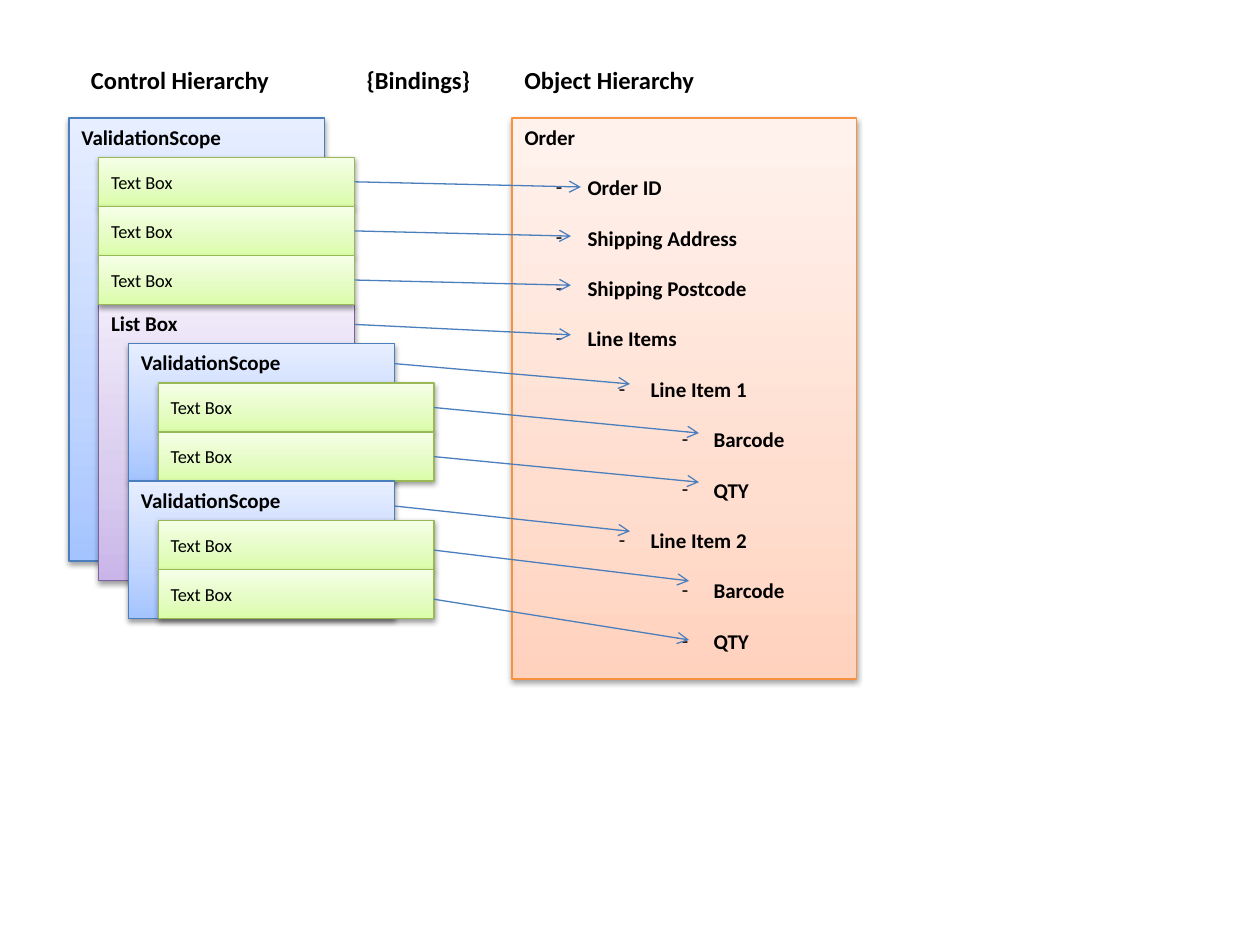
import copy

import pptx
import pptx.dml.color
import pptx.enum.shapes
import pptx.enum.text
import pptx.oxml
import pptx.oxml.ns
import pptx.oxml.xmlchemy
import pptx.util
from pptx.dml.color import RGBColor
from pptx.util import Cm, Pt

BLACK = RGBColor(0x00, 0x00, 0x00)
BLUE_LINE = RGBColor(0x4B, 0x7E, 0xBC)
BLUE = (RGBColor(0xA4, 0xC4, 0xFF), RGBColor(0xBF, 0xD4, 0xFF), RGBColor(0xE6, 0xEE, 0xFF))
GREEN_LINE = RGBColor(0x98, 0xB9, 0x55)
GREEN = (RGBColor(0xDA, 0xFD, 0xA7), RGBColor(0xE4, 0xFC, 0xC2), RGBColor(0xF5, 0xFF, 0xE7))
PURPLE_LINE = RGBColor(0x7D, 0x60, 0xA0)
PURPLE = (RGBColor(0xC9, 0xB5, 0xE8), RGBColor(0xD8, 0xCB, 0xEE), RGBColor(0xF0, 0xEA, 0xF9))
ORANGE_LINE = RGBColor(0xF6, 0x92, 0x40)
ORANGE = (RGBColor(0xFF, 0xD2, 0xBD), RGBColor(0xFF, 0xDE, 0xD0), RGBColor(0xFF, 0xF2, 0xED))

FONT = "Calibri"
HEADER = Cm(0.79)
ROW = Cm(0.99)
STEP = Cm(0.6)
SCOPE_HEIGHT = HEADER + 2 * ROW

ORDER_FIELDS = [
    (1, "Order ID"),
    (1, "Shipping Address"),
    (1, "Shipping Postcode"),
    (1, "Line Items"),
    (2, "Line Item 1"),
    (3, "Barcode"),
    (3, "QTY"),
    (2, "Line Item 2"),
    (3, "Barcode"),
    (3, "QTY"),
]

# pairs follow the order of the bound controls
BINDING_DROPS = [None, None, None, 0.4, 0.4, None, None, 0.5, 0.6, 0.6]
BINDING_ENDS = [
    (1.39, 1.39), (1.19, 2.38), (1.19, 3.37), (1.19, 4.37), (2.38, 5.36),
    (3.77, 6.35), (3.77, 7.34), (2.38, 8.33), (3.57, 9.33), (3.57, 10.52),
]


def add_xml(parent, tag, **attributes):
    child = pptx.oxml.xmlchemy.OxmlElement(tag)
    for name, value in attributes.items():
        child.set(name, value)
    parent.append(child)
    return child


def place(shape, left, top, width, height):
    shape.left, shape.top, shape.width, shape.height = left, top, width, height


def format_text(paragraph, size, bold):
    paragraph.alignment = pptx.enum.text.PP_ALIGN.LEFT
    for run in paragraph.runs:
        run.font.name = FONT
        run.font.size = Pt(size)
        run.font.bold = bold
        run.font.color.rgb = BLACK


def style_panel(panel, colors, line_color):
    panel.fill.gradient()
    panel.fill.gradient_angle = 90
    stops = panel._element.spPr.find(".//" + pptx.oxml.ns.qn("a:gsLst"))
    stops.append(copy.deepcopy(stops[-1]))
    for stop, color, position in zip(panel.fill.gradient_stops, colors, (0, 0.35, 1)):
        stop.color.rgb = color
        stop.position = position
    panel.line.color.rgb = line_color
    panel.line.width = Pt(0.75)
    panel.shadow.inherit = False
    effects = panel._element.spPr.find(pptx.oxml.ns.qn("a:effectLst"))
    shadow = add_xml(effects, "a:outerShdw", blurRad="40000", dist="20000",
                     dir="5400000", rotWithShape="0")
    add_xml(add_xml(shadow, "a:srgbClr", val="000000"), "a:alpha", val="38000")


def add_panel(slide, box, label, colors, line_color, size=12, bold=True,
              anchor=pptx.enum.text.MSO_ANCHOR.TOP):
    panel = slide.shapes.add_shape(pptx.enum.shapes.MSO_SHAPE.RECTANGLE, *box)
    style_panel(panel, colors, line_color)
    panel.text_frame.text = label
    panel.text_frame.vertical_anchor = anchor
    format_text(panel.text_frame.paragraphs[0], size, bold)
    return panel


def add_text_boxes(slide, left, top, width, count):
    return [
        add_panel(slide, (left, top + i * ROW, width, ROW), "Text Box", GREEN, GREEN_LINE,
                  10.5, False, pptx.enum.text.MSO_ANCHOR.MIDDLE)
        for i in range(count)
    ]


def add_scope(slide, left, top, width, height):
    return add_panel(slide, (left, top, width, height), "ValidationScope", BLUE, BLUE_LINE)


def add_headings(slide, left, top):
    control = slide.shapes.title
    bindings, objects = (slide.shapes.add_textbox(0, 0, 0, 0) for _ in range(2))
    headings = [
        (control, "Control Hierarchy", 0),
        (bindings, "{Bindings}", 5.56),
        (objects, "Object Hierarchy", 8.74),
    ]
    for heading, label, offset in headings:
        place(heading, left + Cm(offset), top, Cm(6.75), Cm(0.86))
        frame = heading.text_frame
        frame.text = label
        frame.word_wrap = True
        frame.auto_size = pptx.enum.text.MSO_AUTO_SIZE.NONE
        frame.vertical_anchor = pptx.enum.text.MSO_ANCHOR.TOP
        format_text(frame.paragraphs[0], 14, True)


def add_control_hierarchy(slide, left, top, width, height):
    add_scope(slide, left, top, width, height)
    list_left, list_top = left + STEP, top + HEADER + 3 * ROW
    list_box = add_panel(slide, (list_left, list_top, width, Cm(5.56)),
                         "List Box", PURPLE, PURPLE_LINE)
    controls = add_text_boxes(slide, list_left, top + HEADER, width, 3) + [list_box]
    for i in range(2):
        scope_top = list_top + HEADER + i * SCOPE_HEIGHT
        controls.append(add_scope(slide, list_left + STEP, scope_top,
                                  width + Cm(0.2), SCOPE_HEIGHT))
        controls += add_text_boxes(slide, list_left + 2 * STEP, scope_top + HEADER,
                                   width + Cm(0.4), 2)
    return controls


def add_object_hierarchy(slide, left, top, width, height):
    order = slide.placeholders[1]
    place(order, left, top, width, height)
    style_panel(order, ORANGE, ORANGE_LINE)
    frame = order.text_frame
    frame.auto_size = pptx.enum.text.MSO_AUTO_SIZE.NONE
    frame.vertical_anchor = pptx.enum.text.MSO_ANCHOR.TOP
    for level, label in [(0, "Order")] + ORDER_FIELDS:
        field = frame.add_paragraph() if level else frame.paragraphs[0]
        field.text = label
        field.level = level
        field.space_before = Pt(14.4 if level else 0)
        format_text(field, 12, True)
        properties = field._p.get_or_add_pPr()
        properties.set("marL", str(Cm(1.27 * level)))
        properties.set("indent", str(-Cm(0.64) if level else 0))
        if level:
            add_xml(properties, "a:buFont", typeface=FONT)
            add_xml(properties, "a:buChar", char="-")
        else:
            add_xml(properties, "a:buNone")
    return order


def add_bindings(slide, controls, order):
    for control, drop, (end_x, end_y) in zip(controls, BINDING_DROPS, BINDING_ENDS):
        binding = slide.shapes.add_connector(
            pptx.enum.shapes.MSO_CONNECTOR.STRAIGHT,
            control.left + control.width, control.top + Cm(drop or 0),
            order.left + Cm(end_x), order.top + Cm(end_y))
        if drop is None:
            binding.begin_connect(control, 3)
        binding.line.color.rgb = BLUE_LINE
        binding.line.width = Pt(0.75)
        add_xml(binding.line._get_or_add_ln(), "a:tailEnd", type="arrow")
        add_xml(binding._element.spPr, "a:effectLst")


def main():
    presentation = pptx.Presentation()
    presentation.slide_width, presentation.slide_height = Cm(25.4), Cm(19.05)
    slide = presentation.slides.add_slide(presentation.slide_layouts[1])
    add_headings(slide, Cm(1.58), Cm(1.19))
    controls = add_control_hierarchy(slide, Cm(1.39), Cm(2.38), Cm(5.16), Cm(8.93))
    order = add_object_hierarchy(slide, Cm(10.32), Cm(2.38), Cm(6.94), Cm(11.31))
    add_bindings(slide, controls, order)
    presentation.save("out.pptx")


if __name__ == "__main__":
    main()
